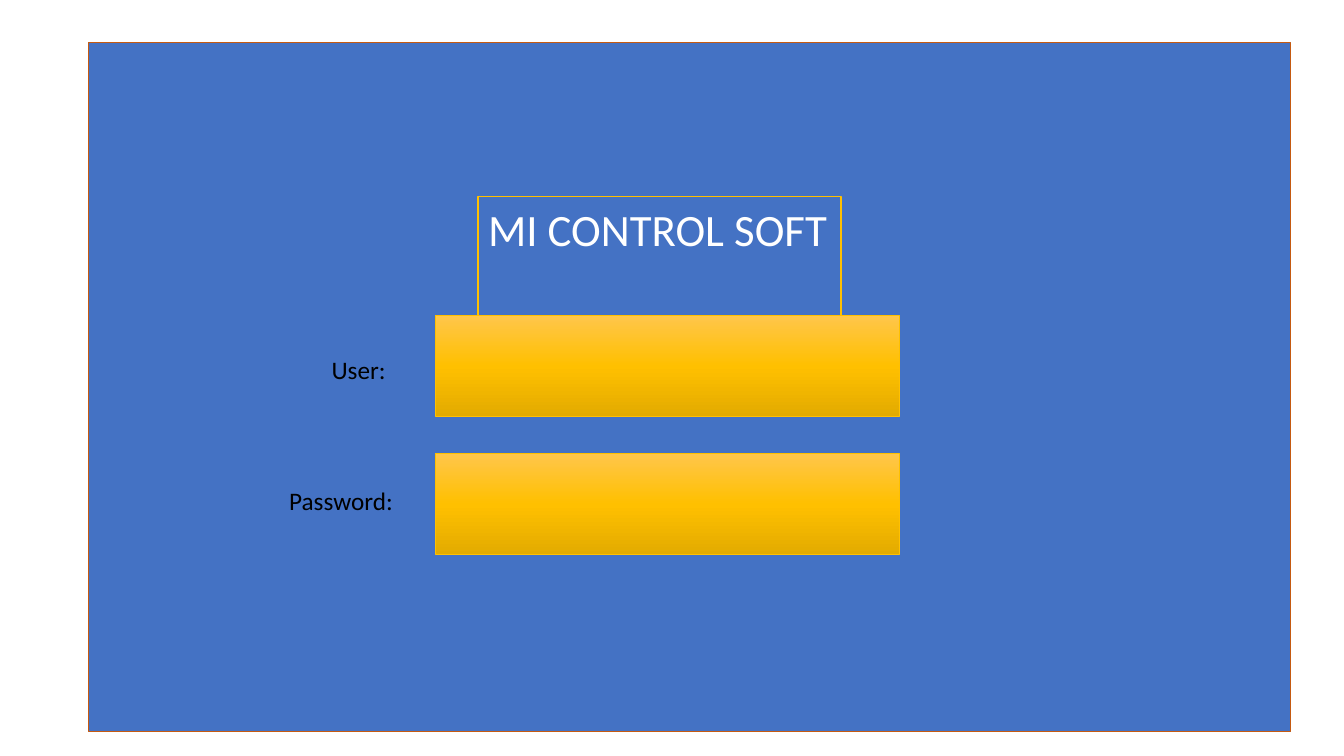
from copy import deepcopy
from dataclasses import dataclass

from pptx import Presentation
from pptx.dml.color import RGBColor as RGB
from pptx.enum.shapes import MSO_SHAPE as SHAPE
from pptx.enum.text import MSO_ANCHOR as ANCHOR, MSO_AUTO_SIZE as AUTO, PP_ALIGN as ALIGN
from pptx.oxml.ns import qn
from pptx.util import Inches, Pt


@dataclass(frozen=True)
class Theme:
    font: str = "Calibri"
    title_size: int = 32
    label_size: int = 18
    panel: str = "4472C4"
    panel_line: str = "C55A11"
    gold: str = "FFC000"
    gold_stops: tuple = ((0, "FFC64B"), (0.5, "FFC000"), (1, "E3AB00"))
    title_text: str = "FFFFFF"
    label_text: str = "000000"


def write(tf, text, *, font, size, color, align=ALIGN.LEFT, anchor=ANCHOR.TOP):
    tf.word_wrap = True
    tf.auto_size = AUTO.SHAPE_TO_FIT_TEXT
    tf.vertical_anchor = anchor
    p = tf.paragraphs[0]
    p.alignment = align
    p.line_spacing = 1
    p.space_before = Pt(0)
    r = p.add_run()
    r.text = text
    r.font.name = font
    r.font.size = Pt(size)
    r.font.color.rgb = RGB.from_string(color)


class LoginSlide:
    def __init__(self, prs, theme):
        self.theme = theme
        self.slide = prs.slides.add_slide(prs.slide_layouts[5])

    def outline(self, sp, color, width):
        sp.line.color.rgb = RGB.from_string(color)
        sp.line.width = Pt(width)

    def rectangle(self, left, top, width, height, line, line_width):
        sp = self.slide.shapes.add_shape(
            SHAPE.RECTANGLE, Inches(left), Inches(top), Inches(width), Inches(height))
        sp.shadow.inherit = False
        self.outline(sp, line, line_width)
        return sp

    def panel(self, left, top, width, height):
        sp = self.rectangle(left, top, width, height, self.theme.panel_line, 1)
        sp.fill.solid()
        sp.fill.fore_color.rgb = RGB.from_string(self.theme.panel)

    def field(self, left, top, width, height):
        """Draw an entry field with a three-stop vertical gradient."""
        sp = self.rectangle(left, top, width, height, self.theme.gold, 0.5)
        sp.fill.gradient()
        sp.fill.gradient_angle = 270
        stops = sp._element.spPr.find(qn("a:gradFill")).find(qn("a:gsLst"))
        stops.append(deepcopy(stops[-1]))
        for stop, (position, color) in zip(sp.fill.gradient_stops, self.theme.gold_stops):
            stop.position = position
            stop.color.rgb = RGB.from_string(color)

    def label(self, text, left, top, width, height):
        sp = self.slide.shapes.add_textbox(
            Inches(left), Inches(top), Inches(width), Inches(height))
        write(sp.text_frame, text, font=self.theme.font,
              size=self.theme.label_size, color=self.theme.label_text)

    def title(self, text, left, top, width, height):
        """Format the title placeholder and bring it in front of the panel."""
        sp = self.slide.shapes.title
        sp.left, sp.top = Inches(left), Inches(top)
        sp.width, sp.height = Inches(width), Inches(height)
        self.outline(sp, self.theme.gold, 1)
        write(sp.text_frame, text, font=self.theme.font,
              size=self.theme.title_size, color=self.theme.title_text)
        self.slide.shapes._spTree.append(sp._element)


def main():
    prs = Presentation()
    prs.slide_width, prs.slide_height = Inches(13.33), Inches(7.5)
    login = LoginSlide(prs, Theme())
    login.panel(0.88, 0.42, 11.92, 6.84)
    login.title("MI CONTROL SOFT", 4.74, 1.95, 3.6, 0.64)
    for text, left, top, width, field_top in (
        ("User:", 3.19, 3.47, 1.18, 3.13),
        ("Password:", 2.77, 4.77, 1.61, 4.5),
    ):
        login.field(4.32, field_top, 4.6, 1)
        login.label(text, left, top, width, 0.4)
    prs.save("out.pptx")


if __name__ == "__main__":
    main()
